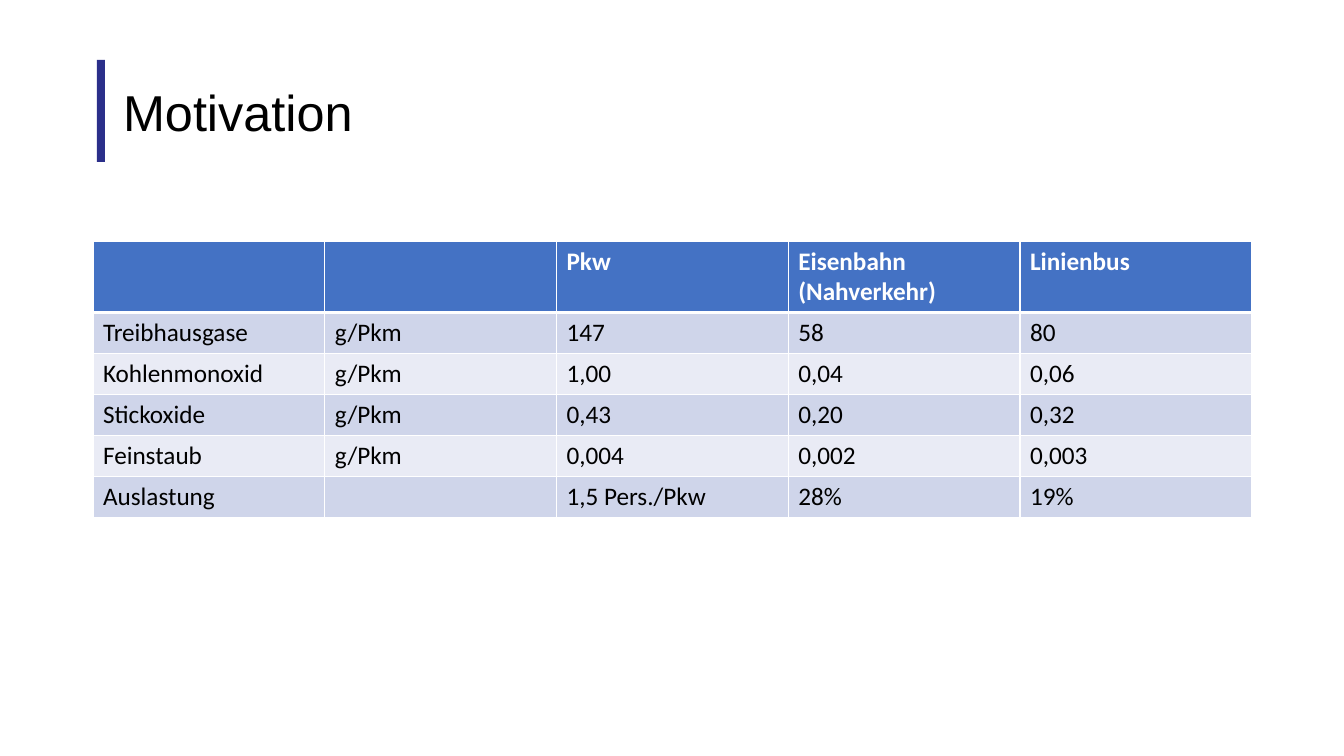
from lxml.etree import SubElement
from pptx import Presentation
from pptx.dml.color import RGBColor
from pptx.enum.shapes import MSO_SHAPE
from pptx.enum.text import MSO_ANCHOR, PP_ALIGN
from pptx.oxml.ns import qn
from pptx.util import Pt

EMU_PER_PX = 914400 / 100.8

WHITE = RGBColor(0xFF, 0xFF, 0xFF)
BLACK = RGBColor(0x00, 0x00, 0x00)
NAVY = RGBColor(0x2B, 0x2F, 0x8A)
HEADER_BLUE = RGBColor(0x44, 0x72, 0xC4)
BAND_DARK = RGBColor(0xCF, 0xD5, 0xEA)
BAND_LIGHT = RGBColor(0xE9, 0xEB, 0xF5)

EMISSIONS = [
    ["", "", "Pkw", "Eisenbahn (Nahverkehr)", "Linienbus"],
    ["Treibhausgase", "g/Pkm", "147", "58", "80"],
    ["Kohlenmonoxid", "g/Pkm", "1,00", "0,04", "0,06"],
    ["Stickoxide", "g/Pkm", "0,43", "0,20", "0,32"],
    ["Feinstaub", "g/Pkm", "0,004", "0,002", "0,003"],
    ["Auslastung", "", "1,5 Pers./Pkw", "28%", "19%"],
]


def px(n):
    return round(n * EMU_PER_PX)


def style_run(r, font, size, color, bold=False):
    r.font.name = font
    r.font.size = Pt(size)
    r.font.bold = bold
    r.font.color.rgb = color


def add_title(slide, text, x, y, w, h):
    bar = slide.shapes.add_shape(MSO_SHAPE.RECTANGLE, px(x), px(y), px(8), px(h))
    bar.shadow.inherit = False
    bar.fill.solid()
    bar.fill.fore_color.rgb = NAVY
    bar.line.fill.background()

    title = slide.shapes.title
    title.left, title.top = px(x + 16), px(y + 16)
    title.width, title.height = px(w - 16), px(h - 30)
    tf = title.text_frame
    tf.text = text
    tf.word_wrap = True
    tf.vertical_anchor = MSO_ANCHOR.TOP
    p = tf.paragraphs[0]
    p.alignment = PP_ALIGN.LEFT
    style_run(p.runs[0], "Arial", 36, BLACK)


def set_borders(cell, top, bottom):
    tcPr = cell._tc.get_or_add_tcPr()
    for side, width in (("L", 1), ("R", 1), ("T", top), ("B", bottom)):
        ln = SubElement(tcPr, qn(f"a:ln{side}"), w=str(Pt(width)))
        fill = SubElement(ln, qn("a:solidFill"))
        SubElement(fill, qn("a:srgbClr"), val=str(WHITE))


def add_emission_table(slide, rows, x, y, w, header_h, row_h):
    n_rows, n_cols = len(rows), len(rows[0])
    h = header_h + row_h * (n_rows - 1)
    table = slide.shapes.add_table(n_rows, n_cols, px(x), px(y), px(w), px(h)).table
    for col in table.columns:
        col.width = px(w) // n_cols
    for i, values in enumerate(rows):
        is_header = i == 0
        table.rows[i].height = px(header_h if is_header else row_h)
        band = BAND_DARK if i % 2 else BAND_LIGHT
        for cell, value in zip(table.rows[i].cells, values):
            set_borders(cell, 3 if i == 1 else 1, 3 if is_header else 1)
            cell.fill.solid()
            cell.fill.fore_color.rgb = HEADER_BLUE if is_header else band
            cell.text_frame.text = value
            for r in cell.text_frame.paragraphs[0].runs:
                style_run(r, "Calibri", 18, WHITE if is_header else BLACK, is_header)


def main():
    prs = Presentation()
    prs.slide_width, prs.slide_height = px(1344), px(756)
    slide = prs.slides.add_slide(prs.slide_layouts[5])
    add_title(slide, "Motivation", 97, 60, 695, 102)
    add_emission_table(slide, EMISSIONS, 93, 241, 1159, 71, 41)
    prs.save("out.pptx")


if __name__ == "__main__":
    main()
